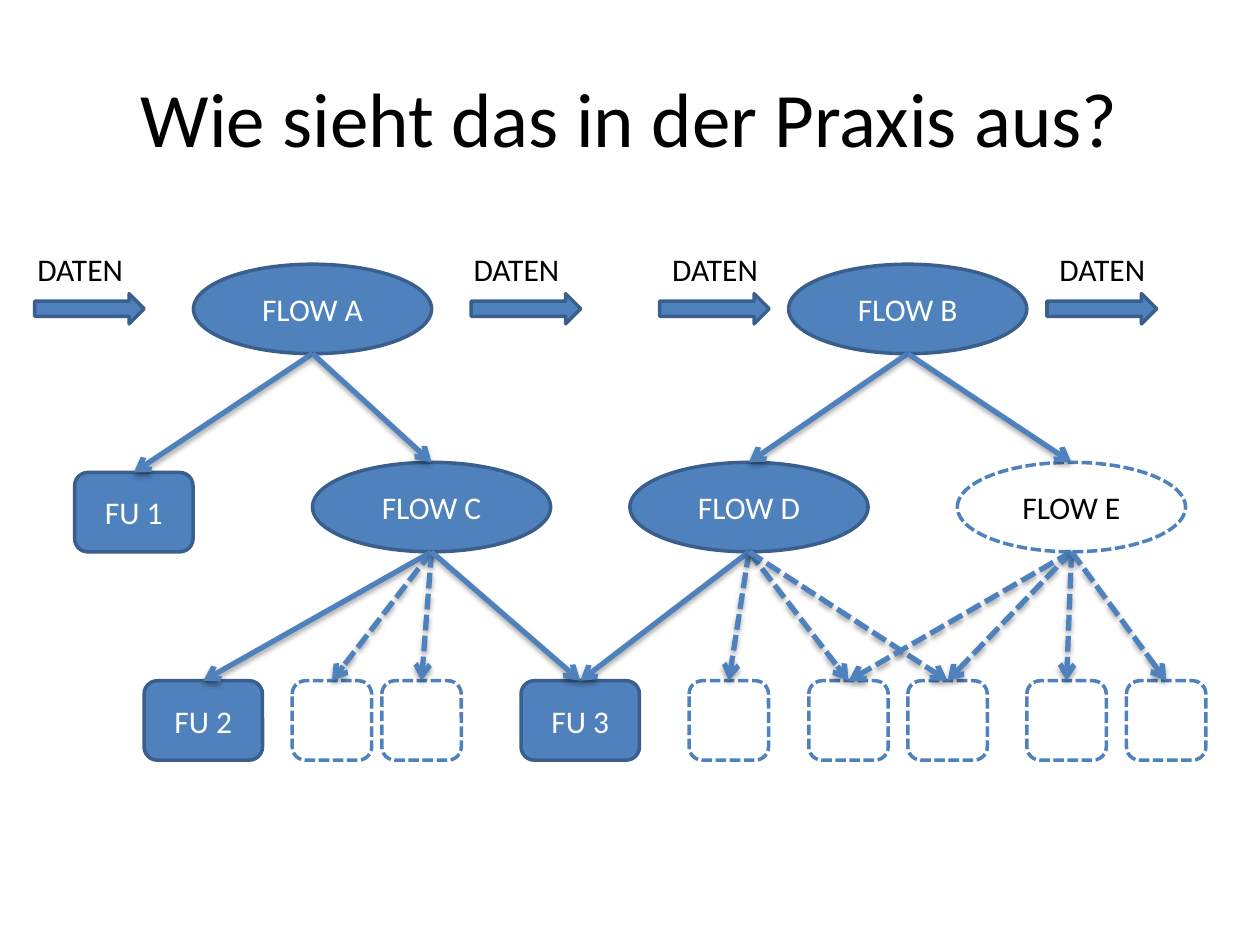
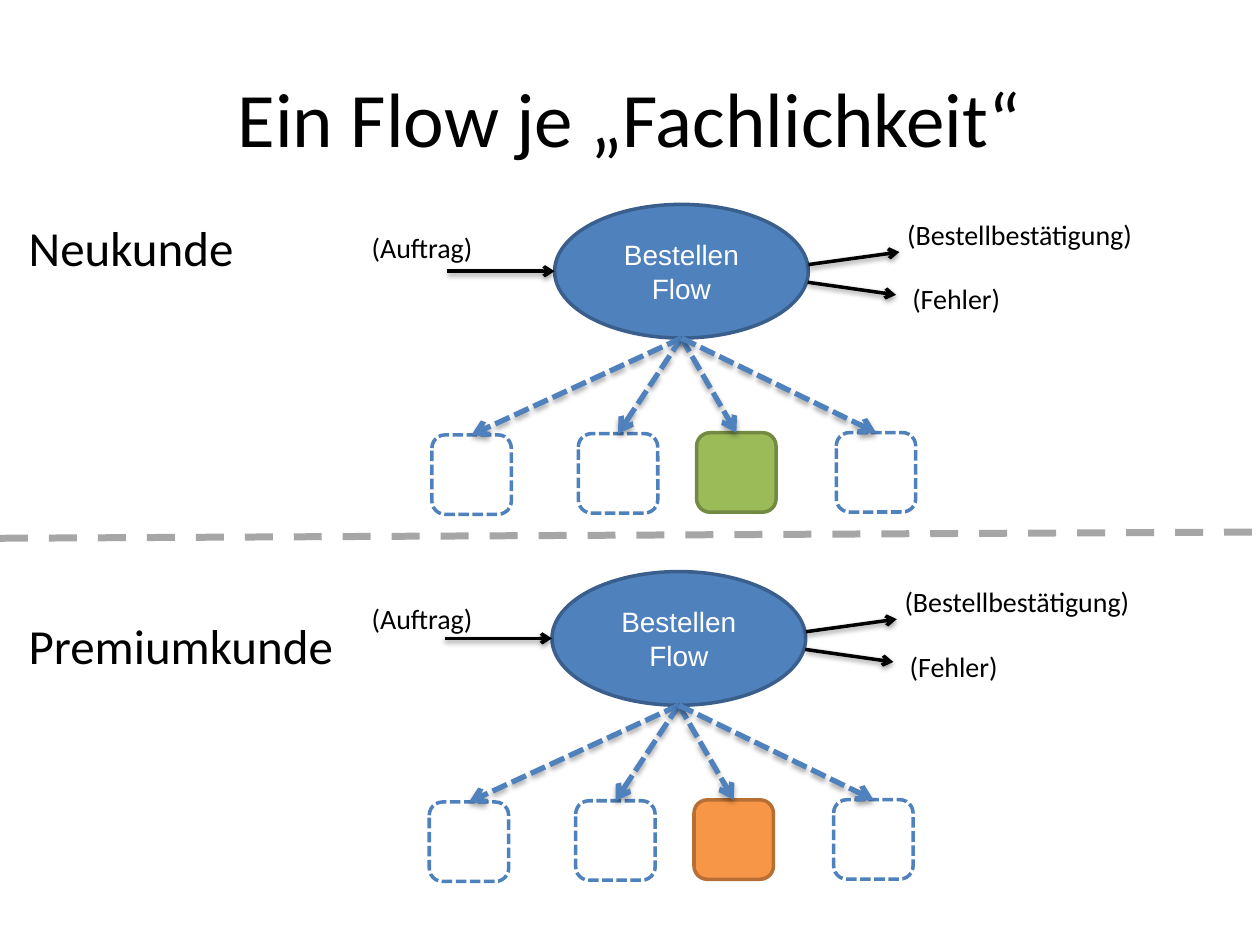
from dataclasses import dataclass

from lxml import etree
from pptx import Presentation
from pptx import slide as sl
from pptx import util as u
from pptx.dml import color as dc
from pptx.dml import line as dl
from pptx.enum import dml, shapes, text
from pptx.oxml import ns
from pptx.shapes import autoshape as auto

Pt = u.Pt
COLORS = {
    "blue": "4F81BD", "blue_edge": "3A5F8C",
    "green": "9BBB59", "green_edge": "738A42",
    "orange": "F79646", "orange_edge": "B76F34",
    "white": "FFFFFF", "black": "000000", "gray": "A6A6A6",
}
SYS_DASH = dml.MSO_LINE.SQUARE_DOT
ELLIPSE = shapes.MSO_SHAPE.OVAL
ROUNDED = shapes.MSO_SHAPE.ROUNDED_RECTANGLE
BOX = 45.4


@dataclass(frozen=True)
class Look:
    fill: str
    edge: str
    ink: str = "white"
    dash: dml.MSO_LINE | None = None


@dataclass(frozen=True)
class Font:
    size: float
    color: str = "black"
    name: str = "Calibri"


@dataclass(frozen=True)
class Node:
    center: float
    top: float
    width: float
    height: float
    kind: shapes.MSO_SHAPE
    look: Look
    label: str = ""

    @property
    def bottom(self) -> float:
        return self.top + self.height


@dataclass(frozen=True)
class Stroke:
    color: str
    width: float
    dash: dml.MSO_LINE | None = None
    arrow: bool = True
    shadow_alpha: int = 0
    shadow_distance: float = 0


@dataclass(frozen=True)
class Scenario:
    customer: str
    customer_top: float
    customer_width: float
    order_top: float
    dx: float
    dy: float
    special: Look


SOLID = Look("blue", "blue_edge")
OPTIONAL = Look("white", "blue", "black", SYS_DASH)
CALL = Stroke("blue", 3, shadow_alpha=35, shadow_distance=1.8)
OPTIONAL_CALL = Stroke("blue", 3, SYS_DASH, shadow_alpha=35, shadow_distance=1.8)
MESSAGE = Stroke("black", 2, shadow_alpha=38, shadow_distance=1.6)
DIVIDER = Stroke("gray", 4, dml.MSO_LINE.DASH, arrow=False)


def rgb(name: str) -> dc.RGBColor:
    return dc.RGBColor.from_string(COLORS[name])


def write(shape: auto.Shape, content: str, font: Font, align: text.PP_ALIGN) -> None:
    paragraph = shape.text_frame.paragraphs[0]
    paragraph.alignment = align
    run = paragraph.add_run()
    run.text = content
    run.font.size = Pt(font.size)
    run.font.name = font.name
    run.font.color.rgb = rgb(font.color)


def clear_margins(shape: auto.Shape) -> None:
    frame = shape.text_frame
    frame.margin_left = frame.margin_top = frame.margin_right = frame.margin_bottom = 0


def add_title(slide: sl.Slide, content: str) -> None:
    shape = slide.shapes.add_textbox(Pt(36), Pt(21.6), Pt(648), Pt(90))
    shape.text_frame.word_wrap = True
    shape.text_frame.vertical_anchor = text.MSO_ANCHOR.MIDDLE
    write(shape, content, Font(44), text.PP_ALIGN.CENTER)


def add_label(slide: sl.Slide, content: str, left: float, top: float, width: float,
              height: float, size: float, margins: bool = False) -> None:
    shape = slide.shapes.add_textbox(Pt(left), Pt(top), Pt(width), Pt(height))
    shape.text_frame.word_wrap = False
    shape.text_frame.auto_size = text.MSO_AUTO_SIZE.SHAPE_TO_FIT_TEXT
    if not margins:
        clear_margins(shape)
    write(shape, content, Font(size), text.PP_ALIGN.LEFT)


def style_line(line: dl.LineFormat, color: str, width: float,
               dash: dml.MSO_LINE | None) -> None:
    line.color.rgb = rgb(color)
    line.width = Pt(width)
    if dash is not None:
        line.dash_style = dash


def add_node(slide: sl.Slide, node: Node, font: Font | None = None) -> auto.Shape:
    shape = slide.shapes.add_shape(node.kind, Pt(node.center - node.width / 2),
                                   Pt(node.top), Pt(node.width), Pt(node.height))
    shape.shadow.inherit = False
    shape.fill.solid()
    shape.fill.fore_color.rgb = rgb(node.look.fill)
    style_line(shape.line, node.look.edge, 2, node.look.dash)
    if node.label:
        shape.text_frame.vertical_anchor = text.MSO_ANCHOR.MIDDLE
        write(shape, node.label, font or Font(18, node.look.ink), text.PP_ALIGN.CENTER)
    return shape


def add_line(slide: sl.Slide, start: tuple[float, float], end: tuple[float, float],
             stroke: Stroke, target: auto.Shape | None = None) -> None:
    connector = slide.shapes.add_connector(
        shapes.MSO_CONNECTOR.STRAIGHT, *(Pt(value) for value in start + end))
    if target is not None:
        connector.end_connect(target, 0)
    style_line(connector.line, stroke.color, stroke.width, stroke.dash)
    properties = connector._element.spPr
    if stroke.arrow:
        etree.SubElement(properties.find(ns.qn("a:ln")), ns.qn("a:tailEnd"), type="arrow")
    effects = etree.SubElement(properties, ns.qn("a:effectLst"))
    if stroke.shadow_alpha:
        shadow = etree.SubElement(
            effects, ns.qn("a:outerShdw"), blurRad=str(Pt(3.1)),
            dist=str(Pt(stroke.shadow_distance)), dir="5400000", rotWithShape="0")
        shade = etree.SubElement(shadow, ns.qn("a:srgbClr"), val=COLORS["black"])
        etree.SubElement(shade, ns.qn("a:alpha"), val=str(stroke.shadow_alpha * 1000))


def add_call(slide: sl.Slide, source: Node, target: Node, shape: auto.Shape) -> None:
    stroke = OPTIONAL_CALL if target.look is OPTIONAL and not target.label else CALL
    add_line(slide, (source.center, source.bottom), (target.center, target.top), stroke, shape)


def flow(name: str, center: float, top: float, look: Look = SOLID,
         width: float = 136.1) -> Node:
    return Node(center, top, width, 51.1, ELLIPSE, look, f"FLOW {name}")


def unit(number: int, center: float, top: float) -> Node:
    return Node(center, top, 67.7, BOX, ROUNDED, SOLID, f"FU {number}")


def build_practice(slide: sl.Slide) -> None:
    add_title(slide, "Wie sieht das in der Praxis aus?")
    first_row, second_row, unit_row = 151, 264.2, 389
    nodes = {
        "A": flow("A", 178.6, first_row),
        "B": flow("B", 518.7, first_row),
        "C": flow("C", 246.6, second_row),
        "D": flow("D", 428, second_row),
        "E": flow("E", 612.3, second_row, OPTIONAL, 130.4),
        "FU1": unit(1, 76.5, 270),
        "FU2": unit(2, 116.2, unit_row),
        "FU3": unit(3, 331.6, unit_row),
    }
    optional_centers = (189.7, 240.9, 416.5, 484.9, 541.5, 609.5, 666.4)
    for number, center in enumerate(optional_centers, 1):
        nodes[f"O{number}"] = Node(center, unit_row, BOX, BOX, ROUNDED, OPTIONAL)
    drawn = {key: add_node(slide, node) for key, node in nodes.items()}

    calls = {
        "A": ("FU1", "C"),
        "B": ("D", "E"),
        "C": ("FU2", "O1", "O2", "FU3"),
        "D": ("FU3", "O3", "O4", "O5"),
        "E": ("O4", "O5", "O6", "O7"),
    }
    for source, targets in calls.items():
        for target in targets:
            add_call(slide, nodes[source], nodes[target], drawn[target])

    for arrow_left, label_left in ((19.8, 14.2), (269.3, 263.5), (377, 377), (598.3, 598.3)):
        add_node(slide, Node(arrow_left + 31.3, 167.8, 62.6, 17.3,
                             shapes.MSO_SHAPE.RIGHT_ARROW, SOLID))
        add_label(slide, "DATEN", label_left, 139.4, 64.1, 28.8, 18, margins=True)


def add_scenario(slide: sl.Slide, scenario: Scenario) -> None:
    dx, dy = scenario.dx, scenario.dy
    add_label(slide, scenario.customer, 16.4, scenario.customer_top,
              scenario.customer_width, 33.8, 28)
    order = Node(389.4 + dx, 116.8 + dy, 145, 76.4, ELLIPSE, SOLID, "Bestellen Flow")
    clear_margins(add_node(slide, order, Font(16, "white", "Arial")))

    messages = (
        ((255.6, 155), (316.9, 155)),
        ((462, 151.2), (514, 144)),
        ((461.6, 161.3), (512, 168.5)),
    )
    for (x1, y1), (x2, y2) in messages:
        add_line(slide, (x1 + dx, y1 + dy), (x2 + dx, y2 + dy), MESSAGE)
    add_label(slide, "(Auftrag)", 212.4, scenario.order_top, 58.3, 19.4, 16)
    add_label(slide, "(Bestellbestätigung)", 518.4 + dx, 124.4 + dy, 130.3, 19.4, 16)
    add_label(slide, "(Fehler)", 521.3 + dx, 161.1 + dy, 51.1, 19.4, 16)

    steps = ((269.5, 248.5, OPTIONAL), (353.2, 247.8, OPTIONAL),
             (420.8, 247.3, scenario.special), (500.6, 247.2, OPTIONAL))
    for center, top, look in steps:
        step = Node(center + dx, top + dy, BOX, BOX, ROUNDED, look)
        shape = add_node(slide, step)
        add_line(slide, (order.center, order.bottom), (step.center, step.top),
                 OPTIONAL_CALL, shape)


def build_scenarios(slide: sl.Slide) -> None:
    add_title(slide, "Ein Flow je „Fachlichkeit“")
    add_line(slide, (0, 307.6), (720, 304), DIVIDER)
    scenarios = (
        Scenario("Neukunde", 124.4, 120, 131.8, 0, 0, Look("green", "green_edge")),
        Scenario("Premiumkunde", 352, 180, 343.6, -1.5, 209.8,
                 Look("orange", "orange_edge")),
    )
    for scenario in scenarios:
        add_scenario(slide, scenario)


def main() -> None:
    presentation = Presentation()
    presentation.slide_width = Pt(720)
    presentation.slide_height = Pt(540)
    blank = presentation.slide_layouts[6]
    for build in (build_practice, build_scenarios):
        build(presentation.slides.add_slide(blank))
    presentation.save("out.pptx")


if __name__ == "__main__":
    main()
